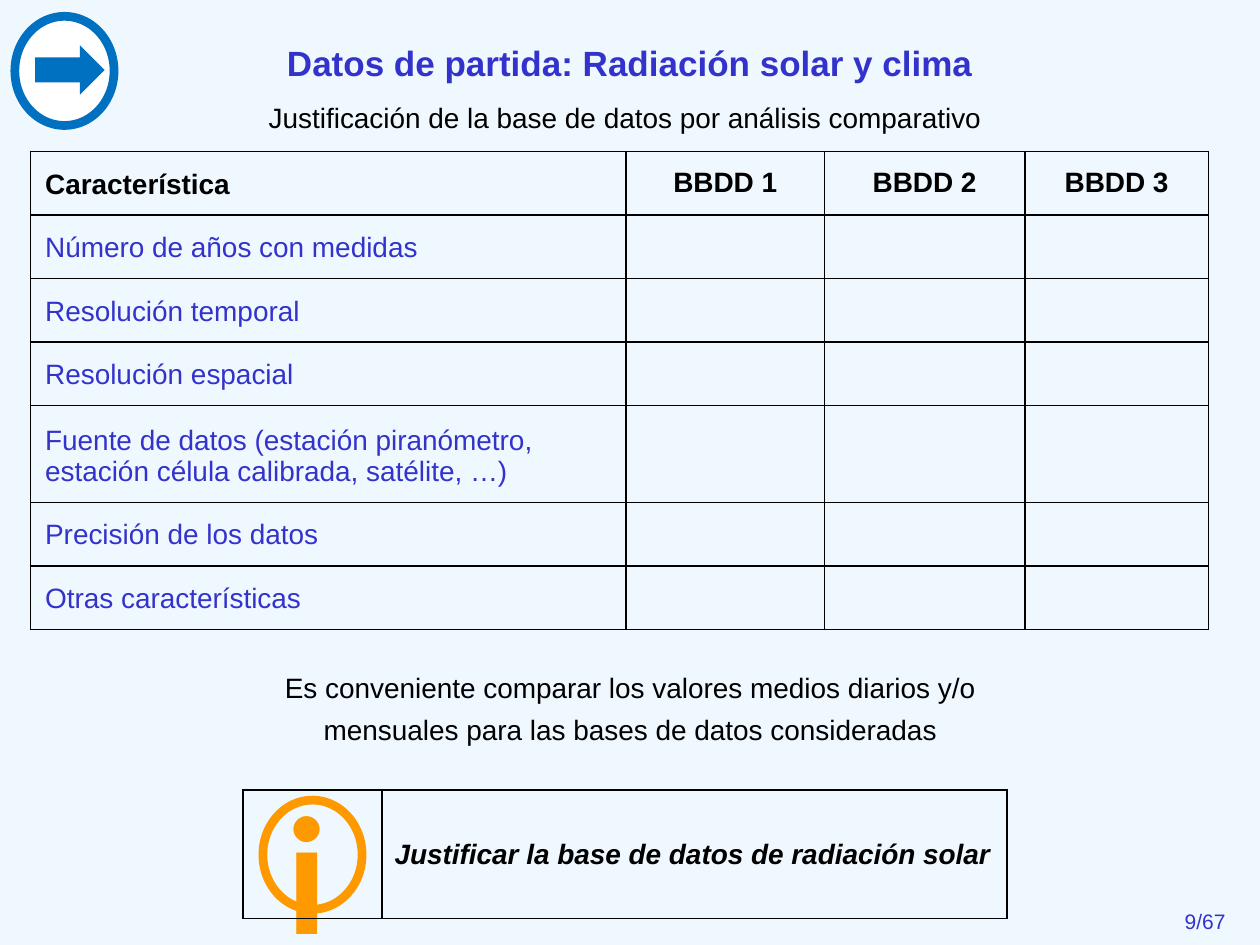
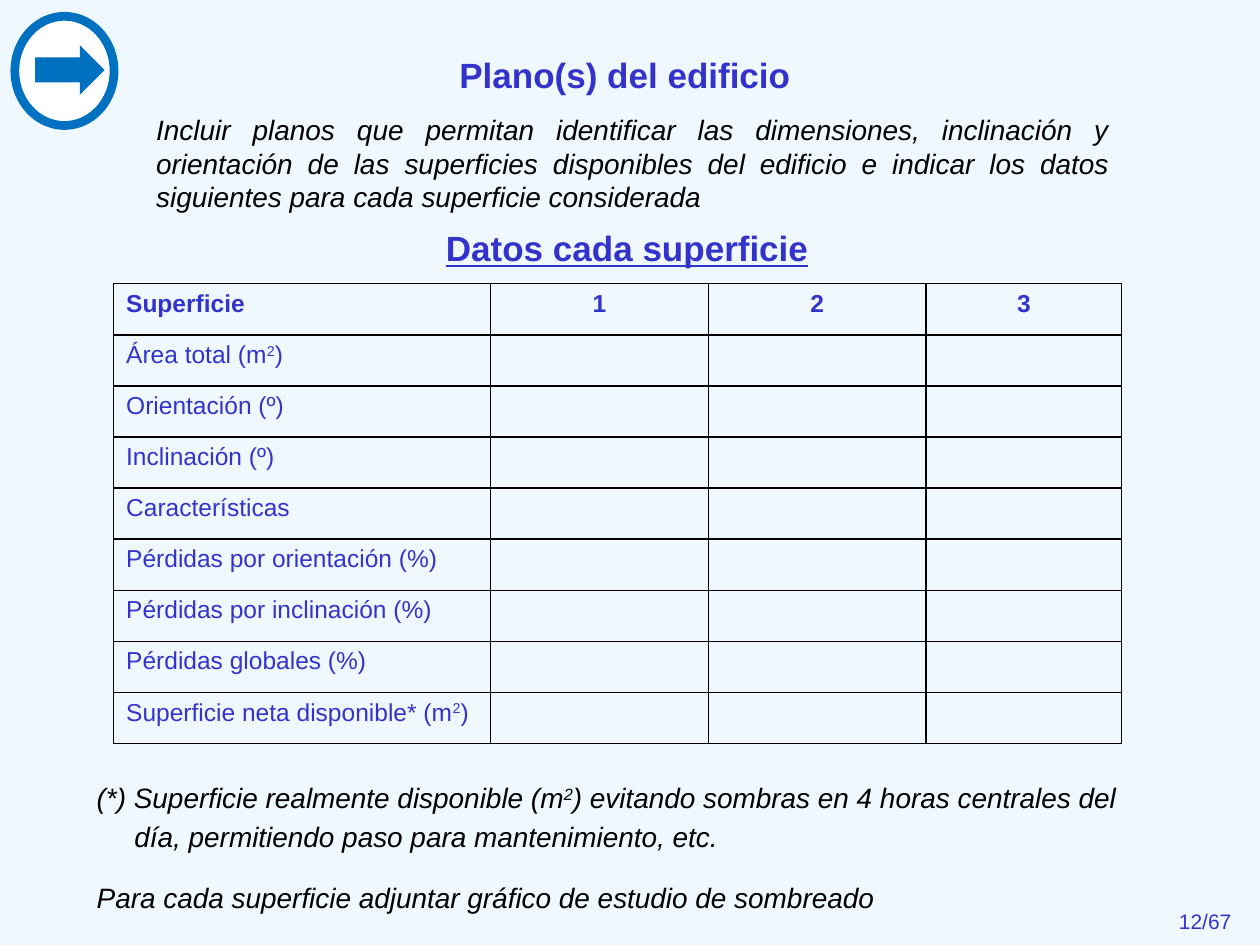
from collections import namedtuple
from dataclasses import dataclass

from lxml import etree
from pptx import Presentation
from pptx.dml.color import RGBColor as Rgb
from pptx.enum.shapes import MSO_SHAPE as Preset
from pptx.enum.text import MSO_ANCHOR as Anchor, PP_ALIGN as Align
from pptx.oxml.ns import qn
from pptx.util import Cm, Pt

Box = namedtuple("Box", "left top width height")


@dataclass(frozen=True)
class Theme:
    page: str = "EFF8FF"
    accent: str = "3333CC"
    ink: str = "000000"
    white: str = "FFFFFF"
    arrow: str = "0070C0"
    info: str = "FF9900"
    font: str = "Arial"
    sign_font: str = "Calibri"
    title: int = 20
    body: int = 16
    cell: int = 14
    number: int = 12
    sign: int = 96
    ring: int = 5
    border: int = 1
    no_table_style: str = "{2D5ABB26-0587-4C30-8999-92F81FD0307C}"


THEME = Theme()


@dataclass(frozen=True)
class TextStyle:
    size: int = THEME.body
    color: str = THEME.ink
    bold: bool = False
    italic: bool = False
    underline: bool = False
    font: str = THEME.font


TITLE = TextStyle(THEME.title, THEME.accent, bold=True)
SUBTITLE = TextStyle(THEME.title, THEME.accent, bold=True, underline=True)
BODY = TextStyle()
NOTE = TextStyle(italic=True)
CALLOUT = TextStyle(bold=True, italic=True)
NUMBER = TextStyle(THEME.number, THEME.accent)
SIGN = TextStyle(THEME.sign, THEME.info, bold=True, font=THEME.sign_font)


# ---- Shared helpers ----
def to_cm(box):
    return [Cm(length) for length in box]


def fill_para(para, text, style, align=Align.LEFT):
    """Write the text run by run; parts between ^ marks are superscript."""
    para.alignment = align
    for index, part in enumerate(text.split("^")):
        span = para.add_run()
        span.text = part
        font = span.font
        font.name, font.size = style.font, Pt(style.size)
        font.bold, font.italic, font.underline = style.bold, style.italic, style.underline
        font.color.rgb = Rgb.from_string(style.color)
        if index % 2:
            span._r.get_or_add_rPr().set("baseline", "30000")


def add_text(shapes, box, text, style, align=Align.CENTER, spacing=None,
             anchor=Anchor.TOP, wrap=True, hanging=0):
    frame = shapes.add_textbox(*to_cm(box)).text_frame
    frame.word_wrap = wrap
    frame.vertical_anchor = anchor
    para = frame.paragraphs[0]
    fill_para(para, text, style, align)
    if spacing:
        para.line_spacing = spacing
    if hanging:
        properties = para._p.get_or_add_pPr()
        properties.set("marL", str(Cm(hanging)))
        properties.set("indent", str(-Cm(hanging)))


def add_preset(shapes, kind, box, fill=None, line=None):
    shape = shapes.add_shape(kind, *to_cm(box))
    shape.shadow.inherit = False
    if fill:
        shape.fill.solid()
        shape.fill.fore_color.rgb = Rgb.from_string(fill)
    else:
        shape.fill.background()
    if line:
        shape.line.color.rgb = Rgb.from_string(line)
        shape.line.width = Pt(THEME.ring)
    else:
        shape.line.fill.background()


def add_borders(cell):
    properties = cell._tc.get_or_add_tcPr()
    for side in ("a:lnL", "a:lnR", "a:lnT", "a:lnB"):
        line = etree.SubElement(properties, qn(side), w=str(Pt(THEME.border)))
        fill = etree.SubElement(line, qn("a:solidFill"))
        etree.SubElement(fill, qn("a:srgbClr"), val=THEME.ink)


def add_grid(page, box, widths, heights):
    """Add a plain bordered table without fill."""
    table = page.shapes.add_table(len(heights), len(widths), *to_cm(box)).table
    table.first_row = table.horz_banding = False
    table._tbl.tblPr.find(qn("a:tableStyleId")).text = THEME.no_table_style
    for column, width in zip(table.columns, widths):
        column.width = Cm(width)
    for row, height in zip(table.rows, heights):
        row.height = Cm(height)
    for cell in table.iter_cells():
        add_borders(cell)
        cell.fill.background()
    return table


def fill_cell(cell, text, style, align=Align.LEFT, anchor=Anchor.TOP, inset=None):
    if inset:
        cell.margin_left = cell.margin_right = Cm(inset)
        cell.margin_top = cell.margin_bottom = Cm(inset)
    cell.vertical_anchor = anchor
    fill_para(cell.text_frame.paragraphs[0], text, style, align)


def add_form(page, box, widths, heights, headings, labels, head_style, label_style,
             label_anchor=Anchor.TOP, head_anchor=Anchor.TOP, inset=None):
    """Table with a heading row, a label column and empty cells to fill in."""
    table = add_grid(page, box, widths, heights)
    for column, heading in enumerate(headings):
        align, anchor = (Align.CENTER, head_anchor) if column else (Align.LEFT, label_anchor)
        fill_cell(table.cell(0, column), heading, head_style, align, anchor, inset)
    for row, label in enumerate(labels, 1):
        fill_cell(table.cell(row, 0), label, label_style, Align.LEFT, label_anchor, inset)


# ---- Regions ----
def add_arrow_icon(page, box):
    shapes = page.shapes.add_group_shape().shapes
    add_preset(shapes, Preset.OVAL, box, THEME.white, THEME.arrow)
    arrow = Box(box.left + 0.41, box.top + 0.58, 1.4, 1)
    add_preset(shapes, Preset.RIGHT_ARROW, arrow, THEME.arrow)


def add_info_callout(page, box, text):
    shapes = page.shapes.add_group_shape().shapes
    add_text(shapes, Box(box.left, box.top - 0.61, 2.6, 4.37), "i", SIGN)
    add_preset(shapes, Preset.OVAL, Box(box.left + 0.4, box.top + 0.2, 2, 2.2),
               line=THEME.info)
    sign_width = 2.8
    table = add_grid(page, box, [sign_width, box.width - sign_width], [box.height])
    fill_cell(table.cell(0, 1), text, CALLOUT, anchor=Anchor.MIDDLE)


def start_page(deck, title, title_box, number):
    page = deck.slides.add_slide(deck.slide_layouts[6])
    page.background.fill.solid()
    page.background.fill.fore_color.rgb = Rgb.from_string(THEME.page)
    add_text(page.shapes, title_box, title, TITLE, spacing=1.3)
    add_arrow_icon(page, Box(0.3, 0.33, 2, 2.2))
    add_text(page.shapes, Box(23.19, 18.19, 2.21, 0.76), f"{number}/67", NUMBER)
    return page


# ---- Slides ----
def build_database_page(deck):
    page = start_page(deck, "Datos de partida: Radiación solar y clima",
                      Box(2.59, 0.46, 20.22, 1.24), 9)
    add_text(page.shapes, Box(4.5, 1.73, 16.2, 1.12),
             "Justificación de la base de datos por análisis comparativo",
             BODY, spacing=Pt(24))

    # Comparison of databases
    row, tall_row = 1.28, 1.95
    add_form(page, Box(0.61, 3.05, 23.75, 9.63), [12.01, 4, 4.04, 3.7],
             [row] * 4 + [tall_row] + [row] * 2,
             ["Característica", "BBDD 1", "BBDD 2", "BBDD 3"],
             ["Número de años con medidas", "Resolución temporal", "Resolución espacial",
              "Fuente de datos (estación piranómetro, estación célula calibrada, satélite, …)",
              "Precisión de los datos", "Otras características"],
             TextStyle(bold=True), TextStyle(color=THEME.accent),
             Anchor.BOTTOM, Anchor.MIDDLE, inset=0.3)

    # Advice and callout
    add_text(page.shapes, Box(5.16, 13.23, 15.09, 1.88),
             "Es conveniente comparar los valores medios diarios y/o mensuales "
             "para las bases de datos consideradas", BODY, spacing=Pt(24))
    add_info_callout(page, Box(4.9, 15.93, 15.4, 2.59),
                     "Justificar la base de datos de radiación solar")


def build_surface_page(deck):
    page = start_page(deck, "Plano(s) del edificio", Box(2.49, 0.71, 20.22, 1.24), 12)
    add_text(page.shapes, Box(2.9, 2.13, 19.71, 2.31),
             "Incluir planos que permitan identificar las dimensiones, inclinación y "
             "orientación de las superficies disponibles del edificio e indicar los datos "
             "siguientes para cada superficie considerada",
             NOTE, Align.JUSTIFY, anchor=Anchor.MIDDLE)

    # Data for each surface
    add_text(page.shapes, Box(8.71, 4.52, 7.87, 1.04), "Datos cada superficie",
             SUBTITLE, spacing=Pt(22), wrap=False)
    labels = ["Área total (m^2^)", "Orientación (º)", "Inclinación (º)", "Características",
              "Pérdidas por orientación (%)", "Pérdidas por inclinación (%)",
              "Pérdidas globales (%)", "Superficie neta disponible* (m^2^)"]
    add_form(page, Box(2.29, 5.72, 20.32, 9.27), [7.6, 4.39, 4.39, 3.94],
             [1.03] * (len(labels) + 1), ["Superficie", "1", "2", "3"], labels,
             TextStyle(THEME.cell, THEME.accent, bold=True),
             TextStyle(THEME.cell, THEME.accent))

    # Footnotes
    notes = [
        (Box(1.7, 15.52, 22.1, 1.75),
         "(*) Superficie realmente disponible (m^2^) evitando sombras en 4 horas "
         "centrales del día, permitiendo paso para mantenimiento, etc."),
        (Box(1.7, 17.53, 21.79, 1.04),
         "Para cada superficie adjuntar gráfico de estudio de sombreado"),
    ]
    for box, text in notes:
        add_text(page.shapes, box, text, NOTE, Align.LEFT, Pt(22), hanging=0.76)


def main():
    deck = Presentation()
    deck.slide_width, deck.slide_height = Cm(25.4), Cm(19.05)
    build_database_page(deck)
    build_surface_page(deck)
    deck.save("out.pptx")


if __name__ == "__main__":
    main()
